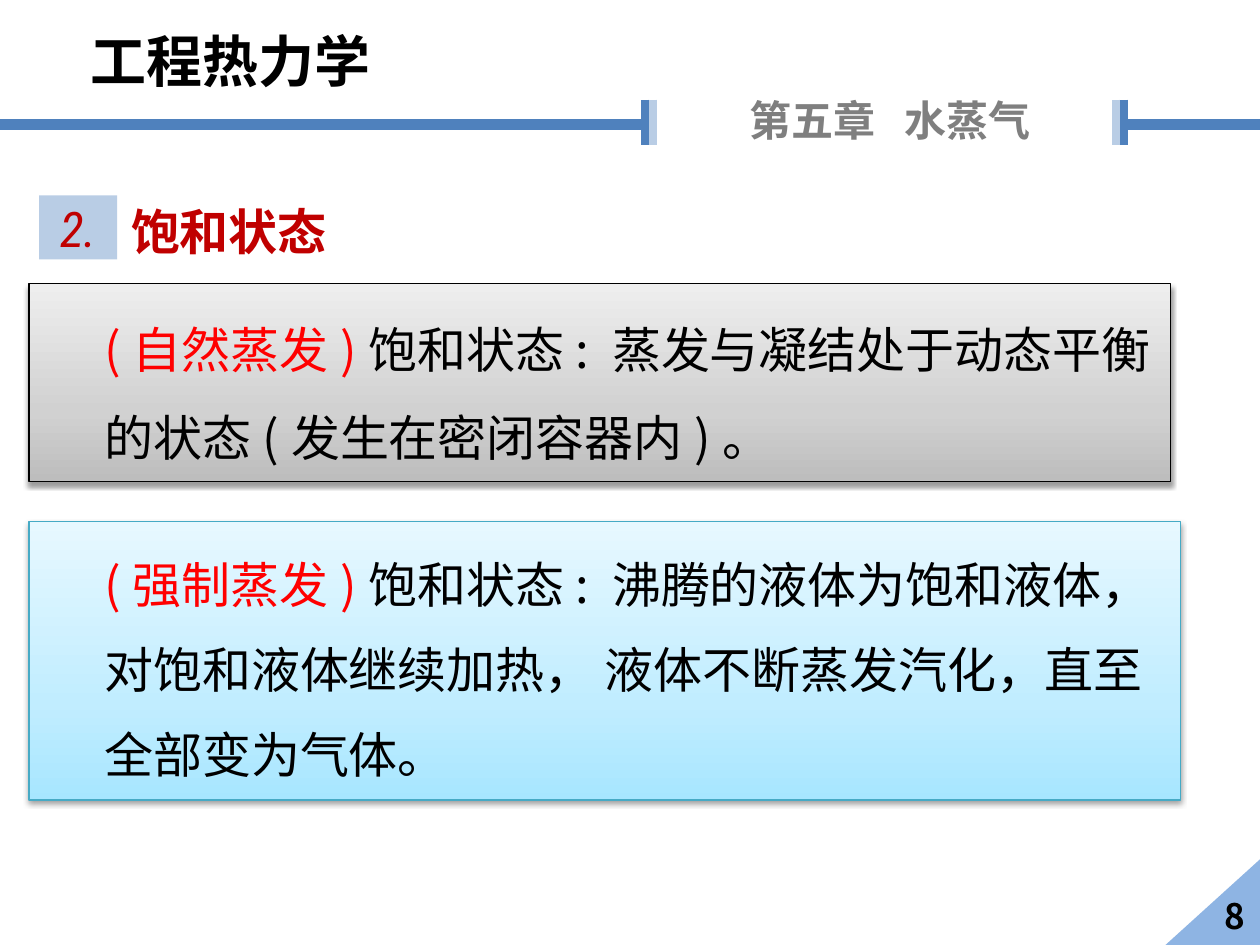
from copy import deepcopy
from lxml import etree
from pptx import Presentation
from pptx import util as u
from pptx.dml.color import RGBColor
from pptx.enum import shapes, text
from pptx.oxml.ns import qn

W, H = 10, 7.5
CJK = "Noto Sans CJK SC"
BLUE, PALE, RED, DARK_RED, BLACK = "4F81BD", "B9CDE5", "FF0000", "C00000", "000000"
LEFT, CENTER = text.PP_ALIGN.LEFT, text.PP_ALIGN.CENTER
TOP, MIDDLE = text.MSO_ANCHOR.TOP, text.MSO_ANCHOR.MIDDLE

COURSE, SECTION, NUMBER, PAGE = "工程热力学", "饱和状态", "2.", "8"
CHAPTER = ("第五章", "水蒸气")
CHAPTER_GAP = 11  # points added to the space between the two words

PANELS = [
    dict(box=(0.23, 2.25, 9.06, 1.57), line=BLACK, spacing=1.5,
         stops=[(0, "BDBDBD"), (0.35, "D1D1D1"), (1, "EEEEEE")],
         lead="(自然蒸发)",
         body="饱和状态: 蒸发与凝结处于动态平衡的状态(发生在密闭容器内)。"),
    dict(box=(0.23, 4.14, 9.14, 2.21), line="46AAC5", spacing=1.45,
         stops=[(0, "A7E6FF"), (0.35, "C1EDFF"), (1, "E7F8FF")],
         lead="(强制蒸发)",
         body="饱和状态: 沸腾的液体为饱和液体，对饱和液体继续加热， "
              "液体不断蒸发汽化，直至全部变为气体。"),
]

# Header rule: (x1, y1, x2, y2, colour, points)
RULE_Y, BAR_TOP, BAR_END = 0.99, 0.79, 1.15
RULES = [(8.92, RULE_Y, W, RULE_Y, BLUE, 6)]
RULES += [(x, BAR_TOP, x, BAR_END, c, 4.5)
          for c, xs in ((BLUE, (5.12, 8.92)), (PALE, (5.18, 8.86))) for x in xs]
RULES += [(0, RULE_Y, 5.14, RULE_Y, BLUE, 6)]


def rgb(value):
    return RGBColor.from_string(value)


def inches(values):
    return [u.Inches(v) for v in values]


def add_run(p, words, size, color, font=CJK, **style):
    r = p.add_run()
    r.text = words
    for name, value in dict(size=u.Pt(size), name=font, **style).items():
        setattr(r.font, name, value)
    r.font.color.rgb = rgb(color)
    ea = etree.SubElement(r._r.get_or_add_rPr(), qn("a:ea"))
    ea.set("typeface", font)
    return r


def set_frame(sp, align=LEFT, anchor=TOP):
    """Prepare the text frame and return its first paragraph."""
    tf = sp.text_frame
    for name, value in dict(word_wrap=True, vertical_anchor=anchor,
                            auto_size=text.MSO_AUTO_SIZE.NONE).items():
        setattr(tf, name, value)
    p = tf.paragraphs[0]
    p.alignment = align
    return p


def add_block(s, kind, box, fill=None):
    sp = s.shapes.add_shape(kind, *inches(box))
    sp.shadow.inherit = False
    sp.line.fill.background()
    if fill:
        sp.fill.solid()
        sp.fill.fore_color.rgb = rgb(fill)
    return sp


def add_label(s, box, align=LEFT, anchor=TOP):
    return set_frame(s.shapes.add_textbox(*inches(box)), align, anchor)


def add_rule(s, x1, y1, x2, y2, color, points):
    ln = s.shapes.add_connector(shapes.MSO_CONNECTOR.STRAIGHT, *inches((x1, y1, x2, y2)))
    ln.line.color.rgb = rgb(color)
    ln.line.width = u.Pt(points)
    etree.SubElement(ln._element.spPr, qn("a:effectLst"))


def set_gradient(sp, stops):
    sp.fill.gradient()
    sp.fill.gradient_angle = 90
    gs_list = sp._element.spPr.find(qn("a:gradFill")).find(qn("a:gsLst"))
    while len(gs_list) < len(stops):
        gs_list.append(deepcopy(gs_list[0]))
    for stop, (position, color) in zip(sp.fill.gradient_stops, stops):
        stop.position = position
        stop.color.rgb = rgb(color)


def add_shadow(sp):
    effects = sp._element.spPr.find(qn("a:effectLst"))
    shadow = etree.SubElement(effects, qn("a:outerShdw"), blurRad=str(u.Pt(3.1)),
                              dist=str(u.Pt(1.6)), dir="5400000", rotWithShape="0")
    color = etree.SubElement(shadow, qn("a:srgbClr"), val=BLACK)
    etree.SubElement(color, qn("a:alpha"), val="38000")


def add_panel(s, box, line, spacing, stops, lead, body):
    sp = add_block(s, shapes.MSO_SHAPE.RECTANGLE, box)
    set_gradient(sp, stops)
    sp.line.color.rgb = rgb(line)
    sp.line.width = u.Pt(0.75)
    add_shadow(sp)
    p = set_frame(sp)
    p.level = 1
    p.line_spacing = spacing
    pPr = p._p.get_or_add_pPr()
    pPr.set("marL", str(u.Inches(0.5)))
    pPr.set("indent", "0")
    add_run(p, lead, 28, RED)
    add_run(p, body, 28, BLACK)


def add_header(s):
    add_block(s, shapes.MSO_SHAPE.ISOSCELES_TRIANGLE, (9.25, H - 0.68, 1.5, 0.68), "8EB4E3")
    p = add_label(s, (5.23, 0.7, 3.67, 0.5), CENTER)
    first, gap, last = [add_run(p, words, 24, "7F7F7F", bold=True)
                        for words in (CHAPTER[0], " ", CHAPTER[1])]
    gap._r.get_or_add_rPr().set("spc", str(CHAPTER_GAP * 100))
    for rule in RULES:
        add_rule(s, *rule)
    add_run(add_label(s, (0.62, 0.16, 2.96, 0.64)), COURSE, 32, BLACK, bold=True)
    add_run(add_label(s, (8.7, 7.03, 2.2, 0.47), CENTER, MIDDLE), PAGE, 20, BLACK, bold=True)


def add_section(s):
    title = s.shapes.title
    title.left, title.top, title.width, title.height = inches((0.94, 1.55, 1.94, 0.57))
    add_run(set_frame(title), SECTION, 28, DARK_RED, bold=True)
    tag = add_block(s, shapes.MSO_SHAPE.RECTANGLE, (0.31, 1.55, 0.62, 0.51), PALE)
    add_run(set_frame(tag, CENTER, MIDDLE), NUMBER, 28, DARK_RED, "Roboto Condensed", italic=True)


def main():
    prs = Presentation()
    prs.slide_width, prs.slide_height = inches((W, H))
    s = prs.slides.add_slide(prs.slide_layouts[5])
    add_header(s)
    add_section(s)
    for panel in PANELS:
        add_panel(s, **panel)
    prs.save("out.pptx")


if __name__ == "__main__":
    main()
